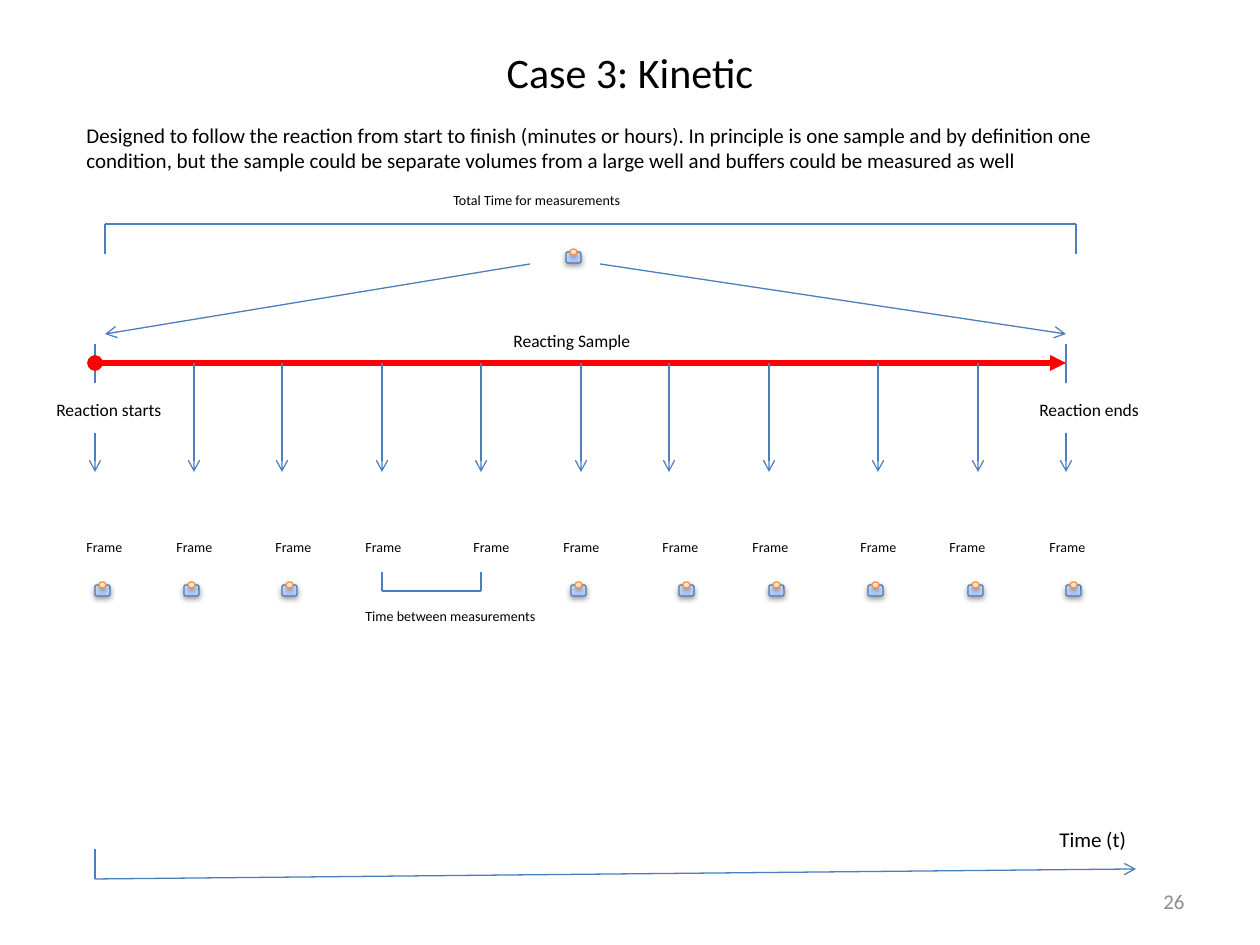
from lxml.etree import SubElement
from pptx import Presentation
from pptx.dml.color import RGBColor
from pptx.enum.shapes import MSO_CONNECTOR, MSO_SHAPE as SHAPE
from pptx.enum.text import MSO_ANCHOR as ANCHOR, MSO_AUTO_SIZE as FIT, PP_ALIGN as ALIGN
from pptx.oxml.ns import qn
from pptx.util import Emu, Pt


def px(n):
    return Emu(round(n * 914400 / 126))


def rgb(value):
    return RGBColor.from_string(value)


class SlideBuilder:
    FONT = "Calibri"
    BLACK = "000000"
    BLUE = "4B7EBC"
    ORANGE = "F69240"
    BLUE_STOPS = ((0, "A4C4FF"), (35, "BFD4FF"), (100, "E6EEFF"))
    ORANGE_STOPS = ((0, "FFD2BD"), (35, "FFDED0"), (100, "FFF2ED"))

    def __init__(self, slide):
        self.shapes = slide.shapes

    def text(self, x, y, w, h, words, size, color=BLACK, align=ALIGN.LEFT,
             anchor=ANCHOR.TOP, wrap=True, fit=FIT.SHAPE_TO_FIT_TEXT):
        tf = self.shapes.add_textbox(px(x), px(y), px(w), px(h)).text_frame
        tf.word_wrap = wrap
        tf.auto_size = fit
        tf.vertical_anchor = anchor
        p = tf.paragraphs[0]
        p.alignment = align
        r = p.add_run()
        r.text = words
        r.font.name = self.FONT
        r.font.size = Pt(size)
        r.font.color.rgb = rgb(color)

    def line(self, x1, y1, x2, y2, color=BLUE, width=0.75, head=None, tail=None, parent=None):
        shapes = parent.shapes if parent else self.shapes
        c = shapes.add_connector(MSO_CONNECTOR.STRAIGHT, px(x1), px(y1), px(x2), px(y2))
        c.line.color.rgb = rgb(color)
        c.line.width = Pt(width)
        sp_pr = c.line.color and c._element.spPr
        for tag, kind in (("a:headEnd", head), ("a:tailEnd", tail)):
            if kind:
                SubElement(sp_pr.find(qn("a:ln")), qn(tag), type=kind)
        SubElement(sp_pr, qn("a:effectLst"))

    def bracket(self, left, right, bar_y, end_y):
        group = self.shapes.add_group_shape()
        for x in (left, right):
            self.line(x, end_y, x, bar_y, parent=group)
        self.line(left, bar_y, right, bar_y, parent=group)

    def glossy(self, group, kind, x, y, w, h, stops, outline):
        """Add a shape with an upward gradient and a soft shadow."""
        s = group.shapes.add_shape(kind, px(x), px(y), px(w), px(h))
        s.line.color.rgb = rgb(outline)
        s.line.width = Pt(0.75)
        s.fill.gradient()
        s.fill.gradient_angle = 90
        sp_pr = s._element.spPr
        gs_list = sp_pr.find(qn("a:gradFill")).find(qn("a:gsLst"))
        for old in list(gs_list):
            gs_list.remove(old)
        for pos, color in stops:
            gs = SubElement(gs_list, qn("a:gs"), pos=str(pos * 1000))
            SubElement(gs, qn("a:srgbClr"), val=color)
        s.shadow.inherit = False
        shadow = SubElement(sp_pr.find(qn("a:effectLst")), qn("a:outerShdw"),
                            blurRad="40000", dist="20000", dir="5400000", rotWithShape="0")
        black = SubElement(shadow, qn("a:srgbClr"), val=self.BLACK)
        SubElement(black, qn("a:alpha"), val="38000")

    def sample_icon(self, x, y):
        group = self.shapes.add_group_shape()
        self.glossy(group, SHAPE.ROUNDED_RECTANGLE, x, y + 3, 15, 11, self.BLUE_STOPS, self.BLUE)
        self.glossy(group, SHAPE.OVAL, x + 4, y, 7, 6, self.ORANGE_STOPS, self.ORANGE)


# Arrow x, label left and icon left of each frame
FRAMES = (
    (95, 74, 95), (194, 164, 184), (282, 263, 282), (382, 353, None),
    (481, 461, None), (581, 551, 571), (669, 650, 679), (769, 740, 769),
    (878, 848, 868), (978, 937, 968), (1066, 1037, 1066),
)
START, END = FRAMES[0][0], FRAMES[-1][0]
SAMPLE_Y = 363


def main():
    prs = Presentation()
    prs.slide_width, prs.slide_height = px(1260), px(945)
    b = SlideBuilder(prs.slides.add_slide(prs.slide_layouts[6]))

    b.text(63, 38, 1134, 68, "Case 3: Kinetic", 24, align=ALIGN.CENTER,
           anchor=ANCHOR.MIDDLE, fit=FIT.NONE)
    b.text(903, 876, 294, 50, "26", 12, "8C8C8C", ALIGN.RIGHT, ANCHOR.MIDDLE, fit=FIT.NONE)
    b.text(74, 116, 1101, 63,
           "Designed to follow the reaction from start to finish (minutes or hours). "
           "In principle is one sample and by definition one condition, but the sample "
           "could be separate volumes from a large well and buffers could be measured as well", 12)

    # Reacting sample
    b.sample_icon(566, 249)
    for x in (START, END):
        b.line(x, 344, x, 383)
    b.line(START, SAMPLE_Y, END, SAMPLE_Y, "FF0000", 3, "oval", "triangle")
    b.line(530, 264, 105, 334, tail="arrow")
    b.line(600, 264, END, 334, tail="arrow")
    b.text(44, 393, 149, 34, "Reaction starts", 10)
    b.text(1027, 393, 139, 34, "Reaction ends", 10)
    b.text(501, 324, 159, 34, "Reacting Sample", 10)

    # Time axis
    b.text(1047, 820, 100, 38, "Time (t)", 12)
    b.line(START, 879, 1136, 869, tail="arrow")
    b.line(START, 879, START, 849)

    # Frames
    for arrow_x, label_x, icon_x in FRAMES:
        top = 433 if arrow_x in (START, END) else SAMPLE_Y
        b.line(arrow_x, top, arrow_x, 472, tail="arrow")
        b.text(label_x, 532, 69, 30, "Frame", 8)
        if icon_x is not None:
            b.sample_icon(icon_x, 582)

    # Durations
    b.bracket(382, 481, 591, 572)
    b.text(353, 601, 198, 30, "Time between measurements", 8, wrap=False)
    b.bracket(105, 1076, 224, 254)
    b.text(441, 185, 195, 30, "Total Time for measurements", 8, wrap=False)

    prs.save("out.pptx")


if __name__ == "__main__":
    main()
